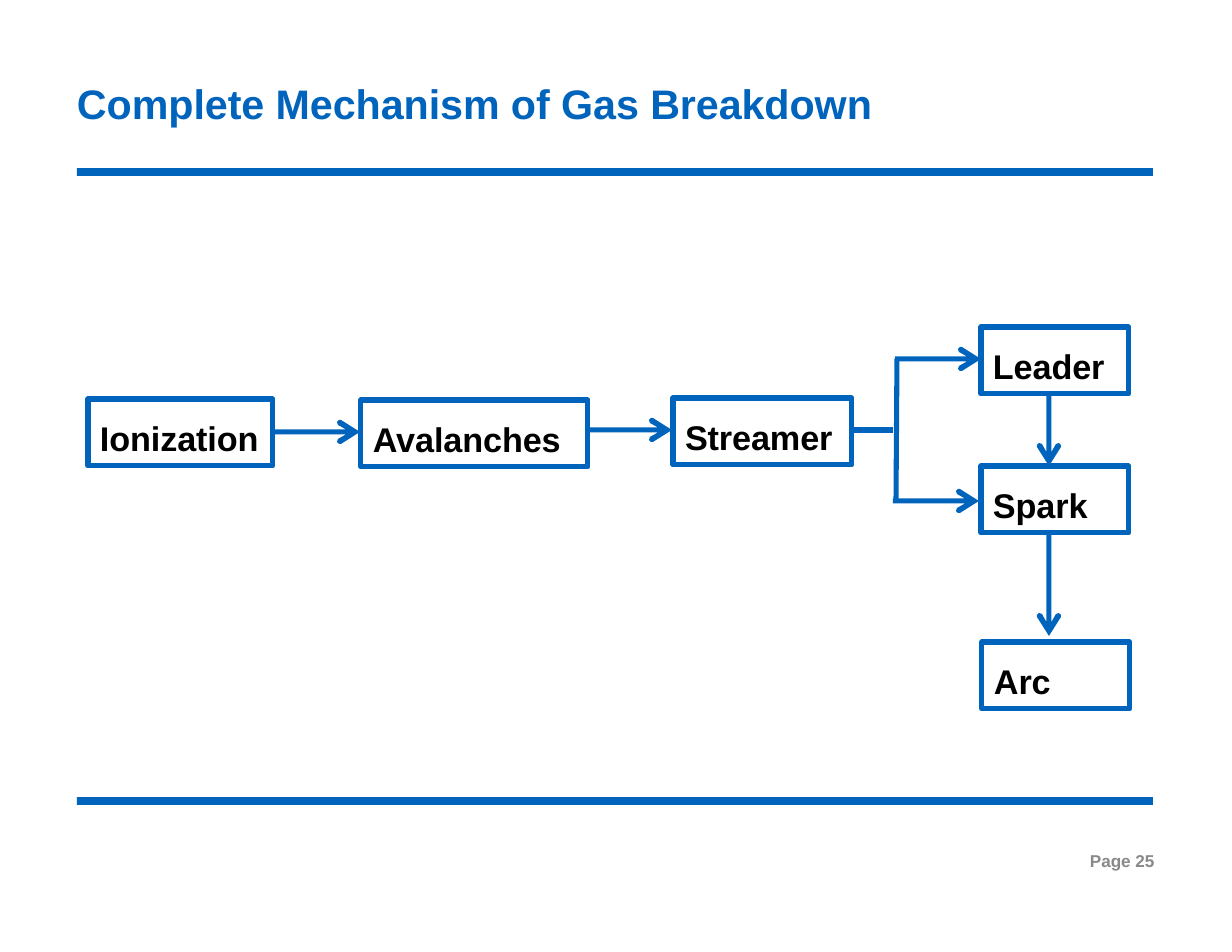
from lxml import etree
from pptx import Presentation, util as u
from pptx.dml.color import RGBColor
from pptx.enum import shapes, text
from pptx.oxml import ns

PX = 914400 / 112
COLORS = {"blue": "0064BC", "ink": "000000", "grey": "898989"}
STROKE = 3.25
FORMATS = {
    "title": {"size": u.Pt(26.5), "bold": True, "name": "Arial"},
    "step": {"size": u.Pt(22), "bold": True, "name": "Arial"},
    "page": {"size": u.Pt(11), "bold": True, "name": "Arial"},
}
STEPS = [
    ("Ionization", 0, 72, 185),
    ("Avalanches", 273, 73, 227),
    ("Streamer", 585, 71, 179),
    ("Leader", 893, 0, 148),
    ("Spark", 893, 139, 148),
    ("Arc", 894, 315, 148),
]
STEP_HEIGHT = 67
ARROW_GROUPS = [
    [(185, 105, 272, 105)],
    [(498, 103, 584, 103)],
    [(805, 174, 891, 174), (807, 32, 893, 32)],
    [(961, 67, 961, 139)],
    [(961, 206, 961, 309)],
]
FORK = [(764, 103, 805, 103), (808, 174, 809, 32)]
BARB = [(19, 12), (21, 12), (23, 10), (22, 7), (14, 2.5)]
SHAFT_HALF = 2.5


def emu(*lengths):
    """Turn px lengths into EMU."""
    return [u.Emu(round(length * PX)) for length in lengths]


def color(key):
    """Look up a named colour."""
    return RGBColor.from_string(COLORS[key])


def fill_blue(shape):
    """Make a shape solid blue without outline or shadow."""
    shape.shadow.inherit = False
    shape.fill.solid()
    shape.fill.fore_color.rgb = color("blue")
    shape.line.fill.background()


def write(shape, wording, style, ink, left=0, top=0):
    """Put one line of styled text at an inset from the shape's corner."""
    frame = shape.text_frame
    inset_left, inset_top = emu(left, top)
    layout = {"margin_left": inset_left, "margin_top": inset_top,
              "margin_right": 0, "margin_bottom": 0, "word_wrap": False,
              "vertical_anchor": text.MSO_ANCHOR.TOP}
    for key, value in layout.items():
        setattr(frame, key, value)
    line = frame.paragraphs[0]
    line.alignment = text.PP_ALIGN.LEFT
    run = line.add_run()
    run.text = wording
    for key, value in FORMATS[style].items():
        setattr(run.font, key, value)
    run.font.color.rgb = color(ink)
    run._r.get_or_add_rPr().set("spc", "-5")


def add_rule(slide, box):
    """Draw a solid horizontal band."""
    fill_blue(slide.shapes.add_shape(shapes.MSO_SHAPE.RECTANGLE, *emu(*box)))


def add_label(slide, box, wording, style, ink, top):
    """Place a line of free text."""
    label = slide.shapes.add_textbox(*emu(*box))
    write(label, wording, style, ink, left=1, top=top)


def add_step(slide, box, wording):
    """Draw one outlined stage of the breakdown."""
    step = slide.shapes.add_shape(shapes.MSO_SHAPE.RECTANGLE, *emu(*box))
    step.shadow.inherit = False
    step.fill.background()
    step.line.color.rgb = color("blue")
    step.line.width = u.Pt(STROKE)
    write(step, wording, "step", "ink", left=12, top=18)


def add_link(slide, ends):
    """Draw a straight link."""
    link = slide.shapes.add_connector(shapes.MSO_CONNECTOR.STRAIGHT, *emu(*ends))
    link.line.color.rgb = color("blue")
    link.line.width = u.Pt(STROKE)
    etree.SubElement(link._element.spPr, ns.qn("a:effectLst"))


def arrow_outline(x1, y1, x2, y2):
    """List the corners of a right or down arrow, from its tip."""
    length = x2 - x1 + y2 - y1
    side = BARB + [(length, SHAFT_HALF)]
    corners = [(0, 0)] + side + [(back, -off) for back, off in reversed(side)]
    if y1 == y2:
        return [emu(x2 - back, y2 - off) for back, off in corners]
    return [emu(x2 - off, y2 - back) for back, off in corners]


def add_arrows(slide, left, top, arrows):
    """Draw arrows that belong together as one filled outline."""
    outlines = [arrow_outline(left + x1, top + y1, left + x2, top + y2)
                for x1, y1, x2, y2 in arrows]
    builder = slide.shapes.build_freeform(*outlines[0][0])
    for tip, *rest in outlines:
        builder.move_to(*tip)
        builder.add_line_segments(rest, close=True)
    fill_blue(builder.convert_to_shape())


def add_flow(slide, left, top):
    """Lay out the stages and their links from the given corner."""
    for wording, x, y, width in STEPS:
        add_step(slide, (left + x, top + y, width, STEP_HEIGHT), wording)
    for x1, y1, x2, y2 in FORK:
        add_link(slide, (left + x1, top + y1, left + x2, top + y2))
    for arrows in ARROW_GROUPS:
        add_arrows(slide, left, top, arrows)


def main():
    """Build and save the slide."""
    deck = Presentation()
    deck.slide_width, deck.slide_height = emu(1232, 952)
    slide = deck.slides.add_slide(deck.slide_layouts[6])
    for top in (797, 168):
        add_rule(slide, (77, top, 1076, 8))
    add_label(slide, (76, 77, 798, 53), "Complete Mechanism of Gas Breakdown",
              "title", "blue", top=1)
    add_flow(slide, 88, 327)
    add_label(slide, (1089, 850, 70, 22), "Page 25", "page", "grey", top=0)
    deck.save("out.pptx")


if __name__ == "__main__":
    main()
